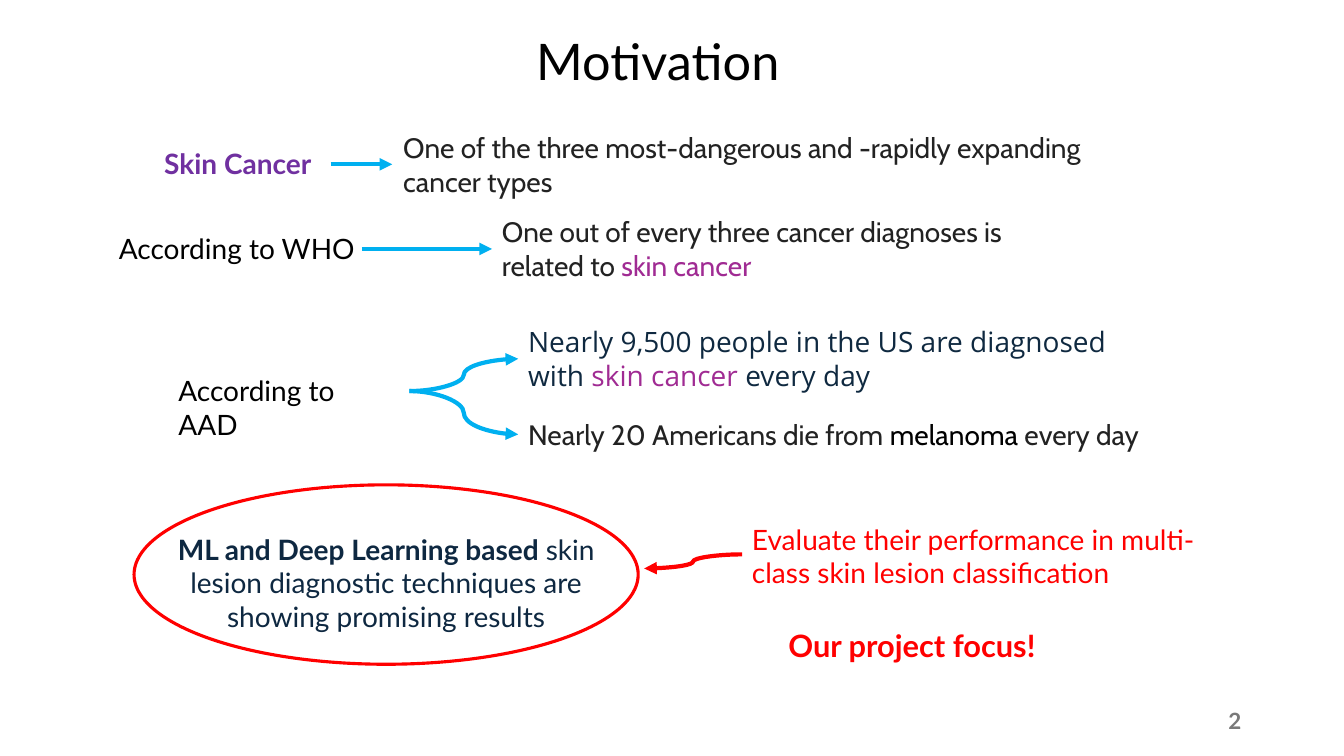
from lxml import etree
from pptx import Presentation
from pptx.dml.color import RGBColor
from pptx.enum.shapes import MSO_CONNECTOR as CONNECTOR, MSO_SHAPE as SHAPE
from pptx.enum.text import MSO_ANCHOR as ANCHOR, PP_ALIGN as ALIGN
from pptx.oxml.ns import qn
from pptx.util import Emu, Pt

PX = 9144
BLACK, CHARCOAL, NAVY = "000000", "222222", "0F2940"
MAGENTA, BLUE, RED = "A02B93", "00B0F0", "FF0000"
LEFT, CENTER, RIGHT = ALIGN.LEFT, ALIGN.CENTER, ALIGN.RIGHT


def px(*lengths):
    return [Emu(length * PX) for length in lengths]


def color(value):
    return RGBColor.from_string(value)


presentation = Presentation()
presentation.slide_width, presentation.slide_height = px(1333, 750)
slide = presentation.slides.add_slide(presentation.slide_layouts[6])

texts = [
    ((522, 7, 340, 114), "Lato", 36, False, LEFT, ANCHOR.MIDDLE, [("Motivation", BLACK)]),
    ((153, 140, 237, 44), "Lato", 20, True, LEFT, ANCHOR.TOP, [("Skin Cancer", "7030A0")]),
    ((390, 125, 738, 77), "Cabin", 20, False, LEFT, ANCHOR.TOP,
     [("One of the three most-dangerous and -rapidly expanding cancer types", CHARCOAL)]),
    ((108, 225, 290, 44), "Lato", 20, False, LEFT, ANCHOR.TOP, [("According to WHO", BLACK)]),
    ((488, 208, 556, 77), "Cabin", 20, False, LEFT, ANCHOR.TOP,
     [("One out of every three cancer diagnoses is related to ", CHARCOAL),
      ("skin cancer", MAGENTA)]),
    ((167, 366, 239, 44), "Lato", 20, False, LEFT, ANCHOR.TOP, [("According to AAD", BLACK)]),
    ((514, 317, 644, 77), "Open Sans", 20, False, LEFT, ANCHOR.TOP,
     [("Nearly 9,500 people in the US are diagnosed with ", NAVY),
      ("skin cancer ", MAGENTA), ("every day", NAVY)]),
    ((514, 409, 794, 44), "Cabin", 20, False, LEFT, ANCHOR.TOP,
     [("Nearly 20 Americans die from ", CHARCOAL), ("melanoma", BLACK),
      (" every day", CHARCOAL)]),
    ((152, 523, 462, 111), "Lato", 20, None, CENTER, ANCHOR.TOP,
     [("ML and Deep Learning based ", "0E2841", True),
      ("skin lesion diagnostic techniques are showing promising results", "0E2841")]),
    ((736, 513, 479, 77), "Lato", 20, False, LEFT, ANCHOR.TOP,
     [("Evaluate their performance in multi-class skin lesion classification", RED)]),
    ((692, 617, 425, 47), "Lato", 22, True, CENTER, ANCHOR.TOP, [("Our project focus!", RED)]),
    ((1134, 695, 107, 40), "Lato", 16, True, RIGHT, ANCHOR.MIDDLE, [("2", "797979")]),
]
for box, font, size, bold, align, anchor, runs in texts:
    frame = slide.shapes.add_textbox(*px(*box)).text_frame
    frame.word_wrap = True
    frame.vertical_anchor = anchor
    paragraph = frame.paragraphs[0]
    paragraph.alignment = align
    if size == 36:
        paragraph.line_spacing = 0.9
    paragraph.font.name = font
    paragraph.font.size = Pt(size)
    paragraph.font.bold = bold
    for words, tint, *emphasis in runs:
        run = paragraph.add_run()
        run.text = words
        run.font.color.rgb = color(tint)
        if emphasis:
            run.font.bold = True

ellipse = slide.shapes.add_shape(SHAPE.OVAL, *px(133, 481, 500, 178))
ellipse.shadow.inherit = False
ellipse.fill.background()
ellipse.line.color.rgb = color(RED)
ellipse.line.width = Pt(2.25)

arrows = [
    (CONNECTOR.STRAIGHT, (328, 163, 389, 163), BLUE),
    (CONNECTOR.STRAIGHT, (359, 247, 488, 247), BLUE),
    (CONNECTOR.CURVE, (406, 388, 514, 356), BLUE),
    (CONNECTOR.CURVE, (406, 388, 514, 431), BLUE),
    (CONNECTOR.CURVE, (736, 550, 639, 564), RED),
]
for kind, ends, tint in arrows:
    arrow = slide.shapes.add_connector(kind, *px(*ends))
    arrow.line.color.rgb = color(tint)
    arrow.line.width = Pt(3)
    properties = arrow.element.spPr
    etree.SubElement(properties.find(qn("a:ln")), qn("a:tailEnd"), type="triangle")
    etree.SubElement(properties, qn("a:effectLst"))

presentation.save("out.pptx")
